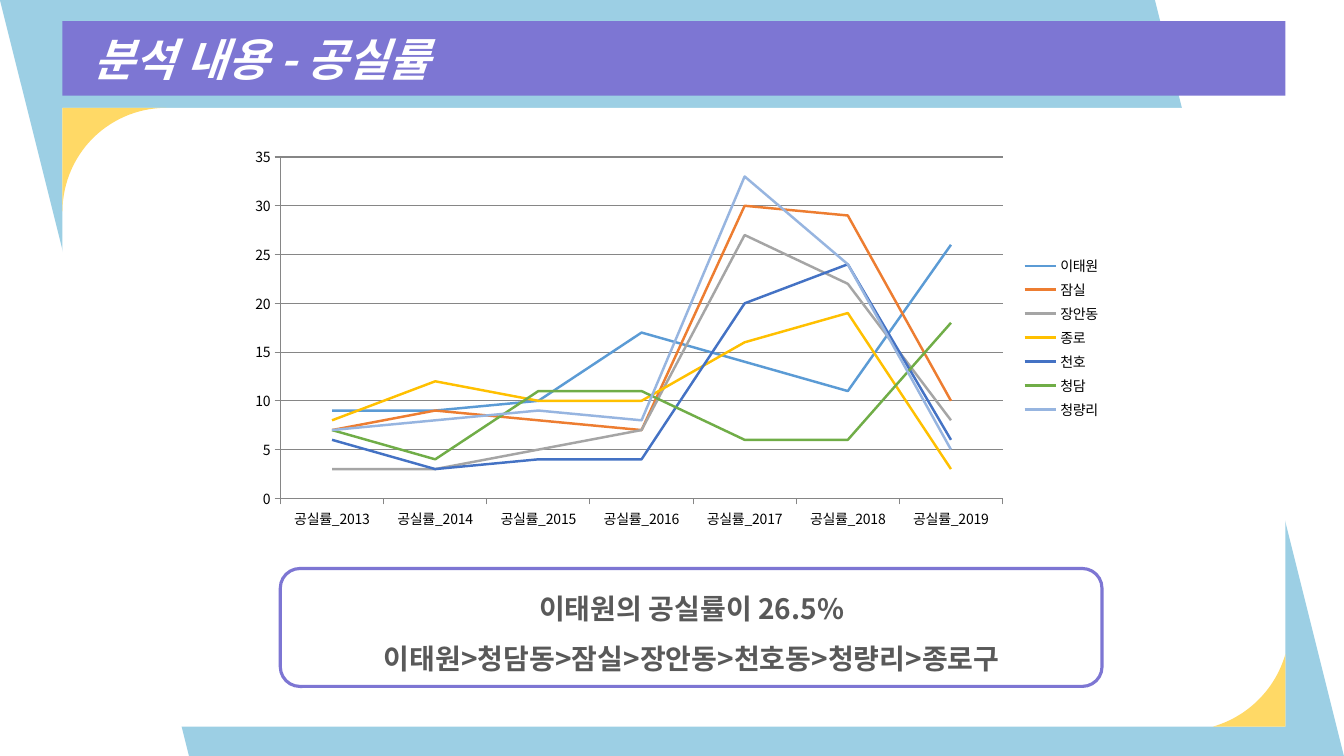
"""Build the vacancy-rate analysis slide with a line chart and a summary box."""
from math import cos, radians, sin

from lxml.etree import SubElement
from pptx import Presentation
from pptx.chart.data import CategoryChartData
from pptx.dml.color import RGBColor
from pptx.enum.chart import XL_CHART_TYPE as ChartType, XL_LEGEND_POSITION as LegendPosition
from pptx.enum.chart import XL_TICK_MARK as TickMark
from pptx.enum.shapes import MSO_SHAPE as Preset
from pptx.enum.text import MSO_ANCHOR as Anchor, MSO_AUTO_SIZE as AutoSize, PP_ALIGN as Align
from pptx.oxml.ns import qn
from pptx.util import Inches, Pt

FONT = "Noto Sans CJK KR"
SKY = RGBColor(0x9C, 0xCF, 0xE4)
PURPLE = RGBColor(0x7D, 0x76, 0xD3)
YELLOW = RGBColor(0xFF, 0xD9, 0x66)
WHITE = RGBColor(0xFF, 0xFF, 0xFF)
BLACK = RGBColor(0, 0, 0)
TEXT_GRAY = RGBColor(0x59, 0x59, 0x59)
GRID_GRAY = RGBColor(0x86, 0x86, 0x86)
WIDTH, HEIGHT = 13.33, 7.5
MARGIN, PANEL_WIDTH = 0.62, 12.13
PANEL_TOP, PANEL_HEIGHT = 1.07, 6.14


def add_panel(preset, left, top, width, height, fill=None):
    """Add a preset shape without shadow or outline."""
    panel = page.shapes.add_shape(preset, *map(Inches, (left, top, width, height)))
    panel.shadow.inherit = False
    panel.line.fill.background()
    if fill is None:
        panel.fill.background()
    else:
        panel.fill.solid()
        panel.fill.fore_color.rgb = fill
    return panel


def style_font(font, properties, **values):
    """Set the font values for Latin and Korean text."""
    font.name = FONT
    SubElement(properties, qn("a:ea")).set("typeface", FONT)
    font.color.rgb = values.pop("color")
    for name, value in values.items():
        setattr(font, name, value)


deck = Presentation()
deck.slide_width, deck.slide_height = Inches(WIDTH), Inches(HEIGHT)
page = deck.slides.add_slide(deck.slide_layouts[6])

backdrop = add_panel(Preset.PARALLELOGRAM, 0, 0, WIDTH, HEIGHT, SKY)
backdrop.element.spPr.xfrm.set("flipH", "1")

title_bar = add_panel(Preset.RECTANGLE, MARGIN, 0.21, PANEL_WIDTH, 0.74, PURPLE)
title_frame = title_bar.text_frame
title_frame.margin_left = Inches(0.31)
title_frame.vertical_anchor = Anchor.MIDDLE
title_para = title_frame.paragraphs[0]
title_para.alignment = Align.LEFT
title_span = title_para.add_run()
title_span.text = "분석 내용 - 공실률"
style_font(title_span.font, title_span._r.get_or_add_rPr(),
           color=WHITE, size=Pt(32), bold=True, italic=True)

add_panel(Preset.RECTANGLE, MARGIN, PANEL_TOP, PANEL_WIDTH, PANEL_HEIGHT, WHITE)

right, bottom = MARGIN + PANEL_WIDTH, PANEL_TOP + PANEL_HEIGHT
corners = [
    (MARGIN, PANEL_TOP, 1.65, 2.1, 1.03, 180, 270),
    (right, bottom, 11.74, 6.2, 1.05, 16, 74),
]
for tip_x, tip_y, center_x, center_y, radius, start, end in corners:
    angles = [radians(start + (end - start) * step / 30) for step in range(31)]
    arc = [(Inches(center_x + radius * cos(angle)), Inches(center_y + radius * sin(angle)))
           for angle in angles]
    outline = page.shapes.build_freeform(Inches(tip_x), Inches(tip_y))
    outline.add_line_segments(arc, close=True)
    corner = outline.convert_to_shape()
    corner.shadow.inherit = False
    corner.line.fill.background()
    corner.fill.solid()
    corner.fill.fore_color.rgb = YELLOW

districts = [
    ("이태원", (9, 9, 10, 17, 14, 11, 26), RGBColor(0x5B, 0x9B, 0xD5)),
    ("잠실", (7, 9, 8, 7, 30, 29, 10), RGBColor(0xED, 0x7D, 0x31)),
    ("장안동", (3, 3, 5, 7, 27, 22, 8), RGBColor(0xA5, 0xA5, 0xA5)),
    ("종로", (8, 12, 10, 10, 16, 19, 3), RGBColor(0xFF, 0xC0, 0x00)),
    ("천호", (6, 3, 4, 4, 20, 24, 6), RGBColor(0x44, 0x72, 0xC4)),
    ("청담", (7, 4, 11, 11, 6, 6, 18), RGBColor(0x70, 0xAD, 0x47)),
    ("청량리", (7, 8, 9, 8, 33, 24, 5), RGBColor(0x97, 0xB5, 0xE0)),
]
rates = CategoryChartData()
rates.categories = [f"공실률_{year}" for year in range(2013, 2020)]
for name, values, _ in districts:
    rates.add_series(name, values)

chart = page.shapes.add_chart(
    ChartType.LINE, *map(Inches, (2.36, 1.38, 8.66, 3.94)), rates).chart
style_font(chart.font, chart.font._rPr, color=BLACK, size=Pt(10))
chart.has_title = False
chart.has_legend = True
chart.legend.position = LegendPosition.RIGHT
chart.legend.include_in_layout = False
chart.plots[0].vary_by_categories = False
for series, (_, _, color) in zip(chart.plots[0].series, districts):
    series.smooth = False
    series.format.line.color.rgb = color
    series.format.line.width = Pt(1.75)

rate_axis = chart.value_axis
rate_axis.minimum_scale, rate_axis.maximum_scale, rate_axis.major_unit = 0, 35, 5
rate_axis.has_major_gridlines = True
for axis in (chart.category_axis, rate_axis):
    axis.major_tick_mark = TickMark.OUTSIDE
    axis.minor_tick_mark = TickMark.NONE
for ruled in (chart.category_axis, rate_axis, rate_axis.major_gridlines):
    ruled.format.line.color.rgb = GRID_GRAY
    ruled.format.line.width = Pt(0.75)

summary_border = add_panel(Preset.ROUNDED_RECTANGLE, 2.78, 5.64, 8.15, 1.17)
summary_border.line.color.rgb = PURPLE
summary_border.line.width = Pt(2.25)

summary_box = page.shapes.add_textbox(*map(Inches, (2.91, 5.65, 7.9, 1.11)))
summary_frame = summary_box.text_frame
summary_frame.word_wrap = True
summary_frame.auto_size = AutoSize.SHAPE_TO_FIT_TEXT
summary_frame.text = "이태원의 공실률이 26.5%\n이태원>청담동>잠실>장안동>천호동>청량리>종로구"
for para in summary_frame.paragraphs:
    para.alignment = Align.CENTER
    para.line_spacing = 1.5
    span = para.runs[0]
    style_font(span.font, span._r.get_or_add_rPr(), color=TEXT_GRAY, size=Pt(20), bold=True)

deck.save("out.pptx")
